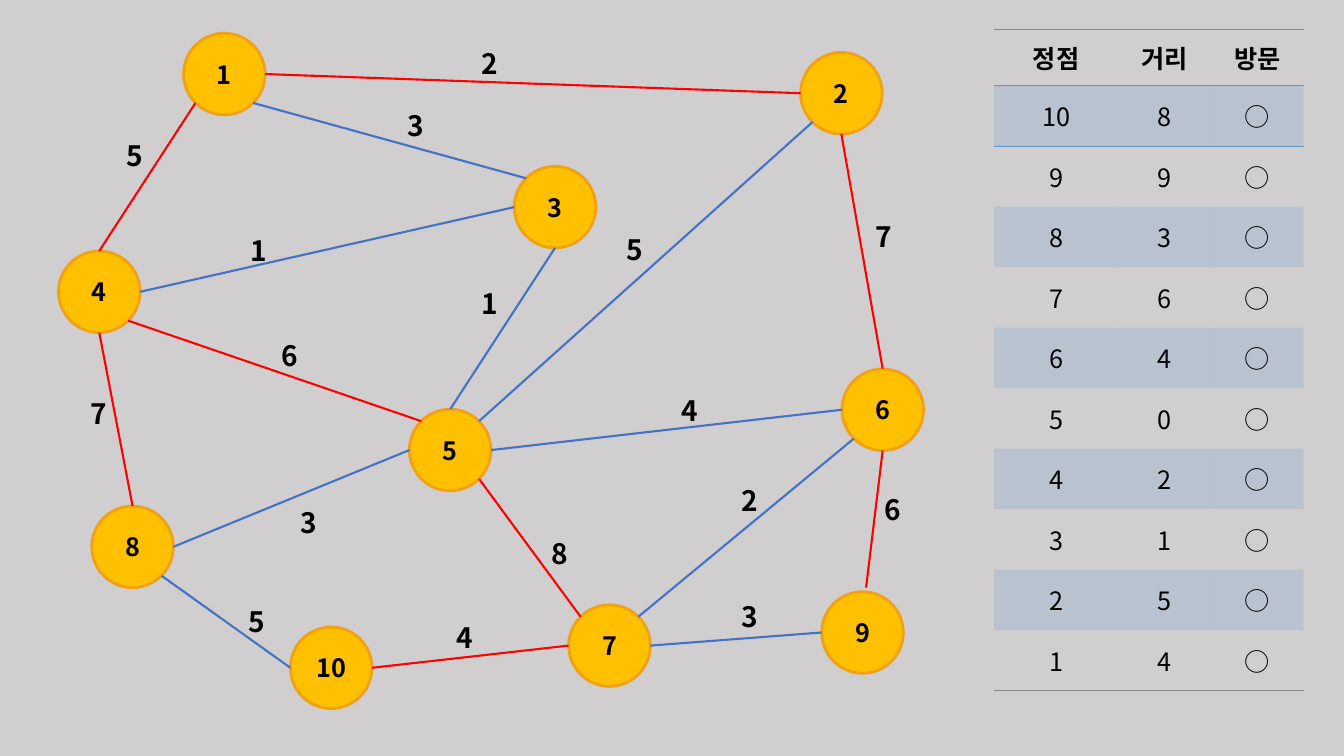
from math import cos, pi, sin

from lxml.etree import SubElement
from pptx import Presentation
from pptx.dml.color import RGBColor
from pptx.enum.shapes import MSO_CONNECTOR, MSO_SHAPE
from pptx.enum.text import MSO_ANCHOR, MSO_AUTO_SIZE, PP_ALIGN
from pptx.oxml.ns import qn
from pptx.util import Inches, Pt

RED, BLUE = "FF0000", "4472C4"
NODE_SIZE = 0.81
NO_STYLE = "{2D5ABB26-0587-4C30-8999-92F81FD0307C}"
# Connection sites of an ellipse, counterclockwise from the top
N, NW, W, SW, S, SE, E, NE = range(8)

# Vertex: left, top
NODES = {
    1: (1.82, 0.33), 2: (7.94, 0.52), 3: (5.1, 1.65), 4: (0.58, 2.49),
    5: (4.06, 4.06), 6: (8.35, 3.66), 7: (5.64, 6), 8: (0.91, 5.02),
    9: (8.15, 5.87), 10: (2.88, 6.22),
}

# Begin vertex and site, end vertex and site, colour, weight, label left and top
EDGES = [
    (4, N, 1, SW, RED, 5, 1.16, 1.32),
    (3, NW, 1, SE, BLUE, 3, 3.94, 1.03),
    (2, W, 1, E, RED, 2, 4.68, 0.41),
    (2, S, 6, N, RED, 7, 8.59, 2.13),
    (2, SW, 5, NE, BLUE, 5, 6.12, 2.26),
    (3, S, 5, N, BLUE, 1, 4.68, 2.79),
    (3, W, 4, E, BLUE, 1, 2.39, 2.27),
    (4, S, 8, N, RED, 7, 0.8, 3.88),
    (5, W, 8, E, BLUE, 3, 2.88, 4.97),
    (5, NW, 4, SE, RED, 6, 2.69, 3.31),
    (5, SE, 7, NW, RED, 8, 5.37, 5.27),
    (6, W, 5, E, BLUE, 4, 6.66, 3.85),
    (6, SW, 7, NE, BLUE, 2, 7.26, 4.75),
    (10, E, 7, W, RED, 4, 4.43, 6.11),
    (10, W, 8, SE, BLUE, 5, 2.37, 5.95),
    (9, W, 7, E, BLUE, 3, 7.26, 5.9),
]

HEADER = ["정점", "거리", "방문"]
DISTANCES = {10: 8, 9: 9, 8: 3, 7: 6, 6: 4, 5: 0, 4: 2, 3: 1, 2: 5, 1: 4}


def rgb(value):
    return RGBColor.from_string(value)


class GraphSlide:
    font = "Noto Sans CJK KR"
    text_color = "000000"

    def __init__(self, prs):
        self.s = prs.slides.add_slide(prs.slide_layouts[6])
        self.nodes = {}

    def background(self, color):
        fill = self.s.background.fill
        fill.solid()
        fill.fore_color.rgb = rgb(color)

    def set_text(self, tf, text, size, bold=True, align=None):
        tf.text = text
        p = tf.paragraphs[0]
        p.alignment = align
        r = p.runs[0]
        r.font.size = Pt(size)
        r.font.bold = bold
        r.font.color.rgb = rgb(self.text_color)
        r.font.name = self.font
        SubElement(r.font._element, qn("a:ea"), typeface=self.font)

    def node(self, number, left, top):
        sp = self.s.shapes.add_shape(MSO_SHAPE.OVAL, Inches(left), Inches(top),
                                     Inches(NODE_SIZE), Inches(NODE_SIZE))
        sp.name = f"Vertex {number}"
        sp.shadow.inherit = False
        sp.fill.solid()
        sp.fill.fore_color.rgb = rgb("FFC000")
        sp.line.color.rgb = rgb("F1A116")
        sp.line.width = Pt(2)
        tf = sp.text_frame
        tf.vertical_anchor = MSO_ANCHOR.MIDDLE
        tf.margin_left = tf.margin_right = 0
        self.set_text(tf, str(number), 18, align=PP_ALIGN.CENTER)
        self.nodes[number] = sp

    def site_point(self, number, site):
        left, top = NODES[number]
        r, angle = NODE_SIZE / 2, site * pi / 4
        return left + r - r * sin(angle), top + r - r * cos(angle)

    def line(self, begin, end, color):
        cxn = self.s.shapes.add_connector(MSO_CONNECTOR.STRAIGHT,
                                          *map(Inches, (*begin, *end)))
        cxn.line.color.rgb = rgb(color)
        cxn.line.width = Pt(1.5)
        SubElement(cxn._element.spPr, qn("a:effectLst"))
        return cxn

    def glue(self, cxn, tag, number, site):
        # begin_connect knows only four sites, an ellipse has eight
        props = cxn._element.find(".//" + qn("p:cNvCxnSpPr"))
        SubElement(props, qn(tag), id=str(self.nodes[number].shape_id), idx=str(site))

    def edge(self, a, site_a, b, site_b, color):
        cxn = self.line(self.site_point(a, site_a), self.site_point(b, site_b), color)
        self.glue(cxn, "a:stCxn", a, site_a)
        self.glue(cxn, "a:endCxn", b, site_b)

    def label(self, text, left, top):
        box = self.s.shapes.add_textbox(Inches(left), Inches(top), Inches(0.36), Inches(0.44))
        tf = box.text_frame
        tf.word_wrap = False
        tf.auto_size = MSO_AUTO_SIZE.SHAPE_TO_FIT_TEXT
        self.set_text(tf, text, 20)

    def border(self, cell, side, color, width):
        ln = SubElement(cell._tc.get_or_add_tcPr(), qn(f"a:{side}"), w=str(Pt(width)))
        fill = SubElement(ln, qn("a:solidFill"))
        SubElement(fill, qn("a:srgbClr"), val=color)

    def band(self, cell, color, opacity):
        cell.fill.solid()
        cell.fill.fore_color.rgb = rgb(color)
        clr = cell._tc.tcPr.find(qn("a:solidFill") + "/" + qn("a:srgbClr"))
        SubElement(clr, qn("a:alpha"), val=str(opacity * 1000))

    def table(self, rows, left, top, widths, heights):
        frame = self.s.shapes.add_table(len(rows), len(widths), Inches(left), Inches(top),
                                        Inches(sum(widths)), Inches(sum(heights)))
        table = frame.table
        table.first_row = table.horz_banding = False
        frame._element.find(".//" + qn("a:tableStyleId")).text = NO_STYLE
        for column, width in zip(table.columns, widths):
            column.width = Inches(width)
        for row, height in zip(table.rows, heights):
            row.height = Inches(height)
        last = len(rows) - 1
        for i, values in enumerate(rows):
            for j, value in enumerate(values):
                cell = table.cell(i, j)
                cell.vertical_anchor = MSO_ANCHOR.MIDDLE
                self.set_text(cell.text_frame, str(value), 18, i == 0, PP_ALIGN.CENTER)
                if i == 0:
                    self.border(cell, "lnT", "8C8C8C", 0.5)
                    self.border(cell, "lnB", "5B9BD5", 1)
                elif i == 1:
                    self.border(cell, "lnT", "5B9BD5", 1)
                elif i == last:
                    self.border(cell, "lnB", "8C8C8C", 0.5)
                if i % 2:
                    self.band(cell, "5B9BD5", 20)
                else:
                    cell.fill.background()


def main():
    prs = Presentation()
    prs.slide_width, prs.slide_height = Inches(13.33), Inches(7.5)
    graph = GraphSlide(prs)
    graph.background("D0CECE")

    # Vertices
    for number, (left, top) in NODES.items():
        graph.node(number, left, top)

    # Weighted edges
    for a, site_a, b, site_b, color, weight, left, top in EDGES:
        graph.edge(a, site_a, b, site_b, color)
        graph.label(str(weight), left, top)

    # Edge 9-6 stops just short of vertex 9
    cxn = graph.line((8.59, 5.83), graph.site_point(6, S), RED)
    graph.glue(cxn, "a:endCxn", 6, S)
    graph.label("6", 8.67, 4.84)

    # Distance table
    rows = [HEADER] + [[vertex, distance, "○"] for vertex, distance in DISTANCES.items()]
    graph.table(rows, 9.86, 0.29, [1.23, 0.92, 0.92], [0.56] + [0.6] * len(DISTANCES))

    prs.save("out.pptx")


if __name__ == "__main__":
    main()
